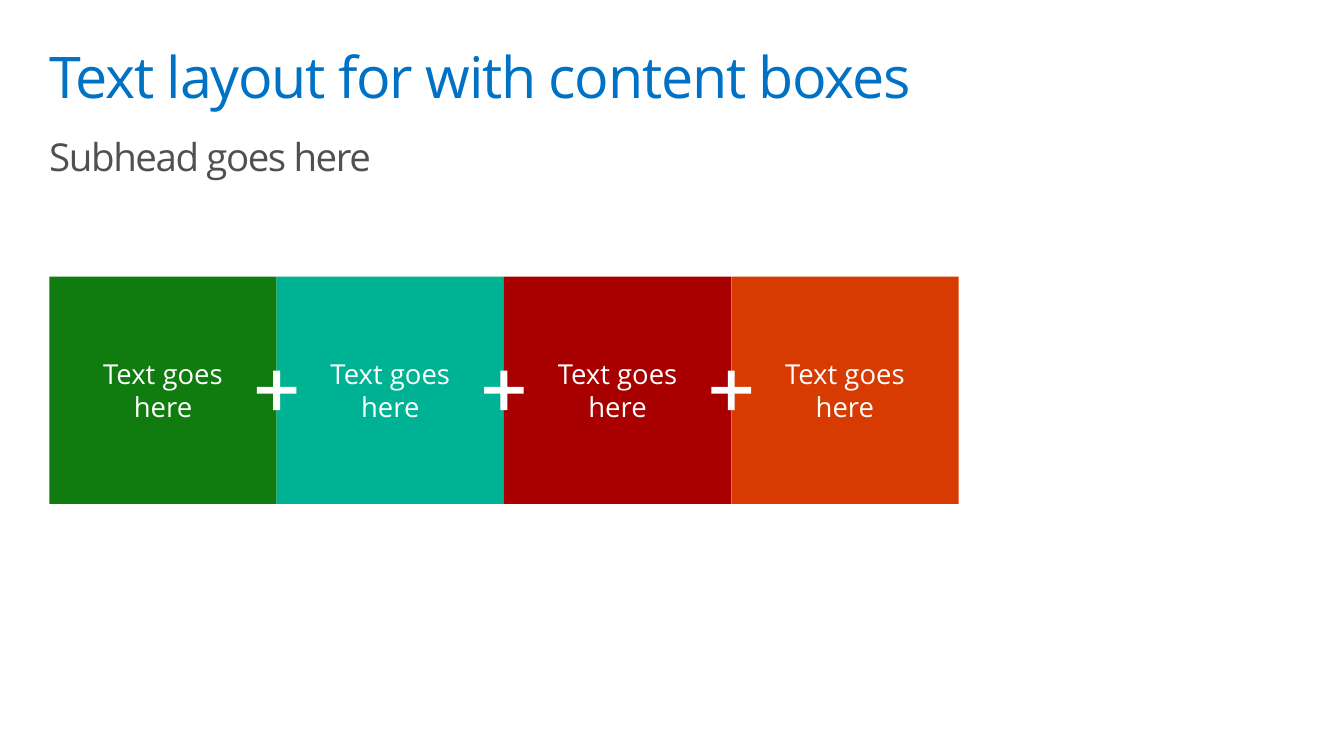
"""Builds a slide with a heading, a subhead and four tiles joined by plus signs."""
from pptx import Presentation
from pptx.dml.color import RGBColor as RGB
from pptx.enum.shapes import MSO_SHAPE as SHAPE
from pptx.enum.text import MSO_ANCHOR as ANCHOR, PP_ALIGN as ALIGN
from pptx.util import Inches, Pt

WHITE = RGB(0xFF, 0xFF, 0xFF)
BLUE = RGB(0x00, 0x72, 0xC6)
GRAY = RGB(0x50, 0x50, 0x50)
GREEN = RGB(0x10, 0x7C, 0x10)
TEAL = RGB(0x00, 0xB2, 0x94)
RED = RGB(0xA8, 0x00, 0x00)
ORANGE = RGB(0xD8, 0x3B, 0x01)

HEADS = [
    ("Text layout for with content boxes", 0.4, 41.8, BLUE, -90, 0),
    ("Subhead goes here", 1.3, 28, GRAY, -100, 6),
]
TILES = [
    ("Text goes\nhere", GREEN),
    ("Text goes\nhere", TEAL),
    ("Text goes\nhere", RED),
    ("Text goes\nhere", ORANGE),
]
LEFT, TOP, SIDE = 0.5, 2.8, 2.3
ARM, HALF = 0.2, 0.035
PAD = Inches(0.1)
FRAME = {"word_wrap": True, "margin_left": PAD, "margin_right": PAD,
         "margin_top": PAD, "margin_bottom": PAD}


def put(item, pairs):
    for name, value in pairs.items():
        setattr(item, name, value)


def paint(shape, color):
    shape.shadow.inherit = False
    shape.fill.solid()
    shape.fill.fore_color.rgb = color
    shape.line.fill.background()


def write(shape, text, size, color, anchor, para):
    frame = shape.text_frame
    put(frame, {**FRAME, "vertical_anchor": anchor})
    line = frame.paragraphs[0]
    line.text = text
    put(line, para)
    for run in line.runs:
        put(run.font, {"name": "Open Sans", "size": Pt(size)})
        run.font.color.rgb = color
    return line.runs


def cross(shapes, mid_x, mid_y):
    spots = []
    x, y = HALF, ARM
    for turn in range(4):
        spots += [(-x, -y), (x, -y), (x, -x)] if turn == 0 else [
            spin(spot) for spot in spots[-3:]]
    spots = [(Inches(mid_x + dx), Inches(mid_y + dy)) for dx, dy in spots]
    pen = shapes.build_freeform(*spots[0])
    pen.add_line_segments(spots[1:], close=True)
    paint(pen.convert_to_shape(), WHITE)


def spin(spot):
    return -spot[1], spot[0]


deck = Presentation()
put(deck, {"slide_width": Inches(13.6), "slide_height": Inches(7.64)})
shapes = deck.slides.add_slide(deck.slide_layouts[6]).shapes

for text, top, size, color, track, gap in HEADS:
    box = shapes.add_textbox(Inches(0.4), Inches(top), Inches(12.8), Inches(0.9))
    para = {"line_spacing": 0.9, "space_before": Pt(gap)}
    for run in write(box, text, size, color, ANCHOR.TOP, para):
        run._r.get_or_add_rPr().set("spc", str(track))

for spot, (text, color) in enumerate(TILES):
    tile = shapes.add_shape(SHAPE.RECTANGLE, Inches(LEFT + spot * SIDE),
                            Inches(TOP), Inches(SIDE), Inches(SIDE))
    paint(tile, color)
    para = {"alignment": ALIGN.CENTER, "space_before": Pt(6)}
    write(tile, text, 20, WHITE, ANCHOR.MIDDLE, para)

for joint in range(1, len(TILES)):
    cross(shapes, LEFT + joint * SIDE, TOP + SIDE / 2)

deck.save("out.pptx")
